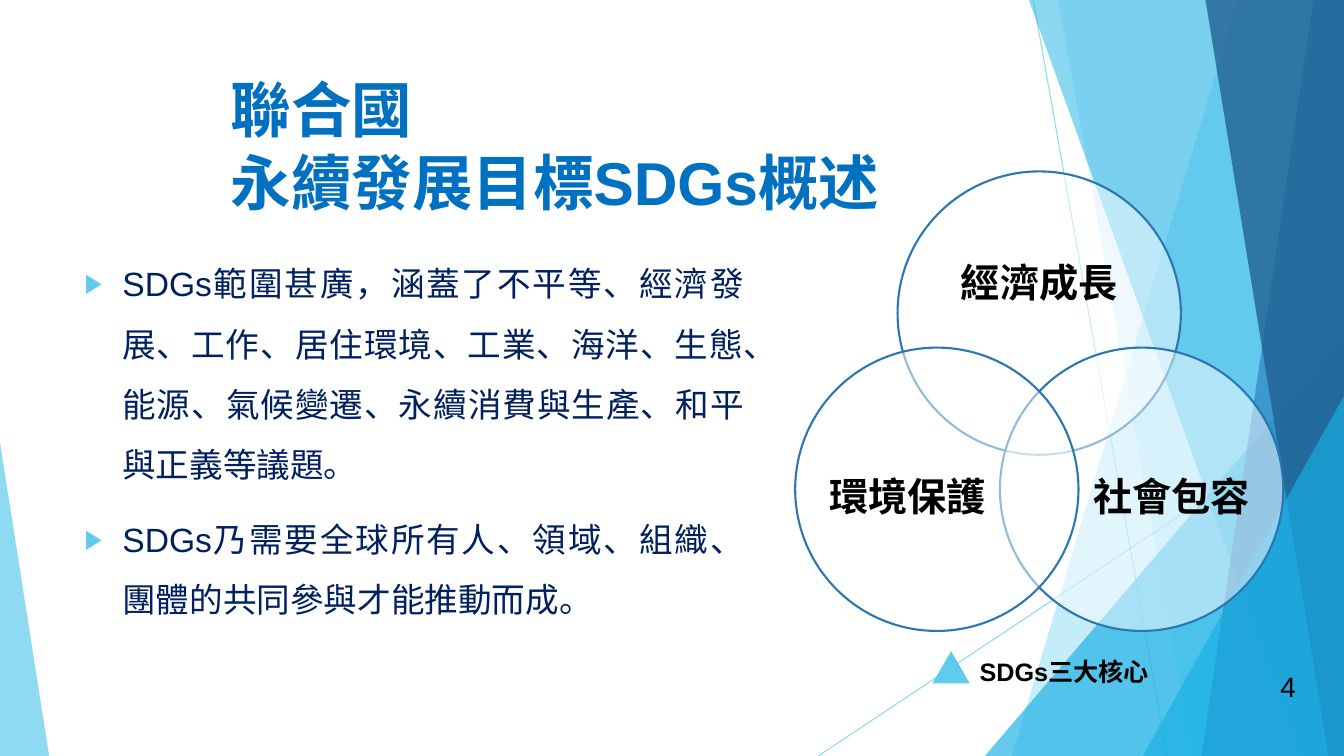
from dataclasses import dataclass

from lxml.etree import SubElement
from pptx import Presentation
from pptx.dml.color import RGBColor as RGB
from pptx.enum.shapes import MSO_CONNECTOR as Link, MSO_SHAPE as Kind
from pptx.enum.text import MSO_ANCHOR as Anchor, MSO_AUTO_SIZE as Fit, PP_ALIGN as Align
from pptx.oxml.ns import qn
from pptx.util import Cm, Pt


@dataclass(frozen=True)
class Theme:
    font: str = "Arial"
    sky: str = "5FCBEF"
    aqua: str = "17B0E4"
    blue: str = "2E83C3"
    deep: str = "226292"
    ring: str = "2A77B1"
    title: str = "0070C0"
    body: str = "002060"
    ink: str = "000000"
    white: str = "FFFFFF"
    head: float = 43.2
    label: float = 28
    text: float = 24
    page: float = 20
    note: float = 18


THEME = Theme()
WIDE, HIGH = 33.87, 19.05


def fade(shape, percent):
    """Set the opacity of the first colour in a shape."""
    color = next(shape.element.spPr.iter(qn("a:srgbClr")))
    SubElement(color, qn("a:alpha"), val=str(percent * 1000))


def paint(shape, color, percent=100):
    shape.shadow.inherit = False
    shape.fill.solid()
    shape.fill.fore_color.rgb = RGB.from_string(color)
    if percent < 100:
        fade(shape, percent)
    shape.line.fill.background()


def style(para, size, color, bold=False, align=Align.LEFT):
    para.alignment = align
    font = para.font
    font.name, font.size, font.bold = THEME.font, Pt(size), bold
    font.color.rgb = RGB.from_string(color)


def place(shape, box):
    shape.left, shape.top, shape.width, shape.height = map(Cm, box)


def write(slide, box, text, size, bold=False, align=Align.LEFT, anchor=Anchor.TOP, inset=None):
    frame = slide.shapes.add_textbox(*map(Cm, box)).text_frame
    frame.word_wrap = True
    frame.vertical_anchor = anchor
    if inset is not None:
        frame.margin_left = frame.margin_right = Cm(inset)
        frame.margin_top = frame.margin_bottom = Cm(inset)
    para = frame.paragraphs[0]
    para.text = text
    style(para, size, THEME.ink, bold, align)
    return para


def ray(slide, start, end):
    line = slide.shapes.add_connector(Link.STRAIGHT, *map(Cm, start + end))
    line.line.color.rgb = RGB.from_string(THEME.sky)
    line.line.width = Pt(0.75)
    fade(line, 70)
    SubElement(line.element.spPr, qn("a:effectLst"))


def band(slide, top, base, color, percent):
    """Fill from a slanted edge to the right side of the slide."""
    pen = slide.shapes.build_freeform(Cm(top), 0, scale=1.0)
    corners = [(WIDE, 0), (WIDE, HIGH), (base, HIGH)]
    pen.add_line_segments([(Cm(x), Cm(y)) for x, y in corners])
    paint(pen.convert_to_shape(), color, percent)


def wedge(slide, box, peak, color, percent=100):
    shape = slide.shapes.add_shape(Kind.ISOSCELES_TRIANGLE, *map(Cm, box))
    shape.adjustments[0] = peak
    paint(shape, color, percent)


def decor(slide):
    ray(slide, (26.04, 0), (29.41, HIGH))
    ray(slide, (WIDE, 10.24), (20.62, HIGH))
    band(slide, 31.19, 25.5, THEME.sky, 36)
    band(slide, 26.67, 30.05, THEME.sky, 20)
    wedge(slide, (24.82, 8.46, WIDE - 24.82, HIGH - 8.46), 1, THEME.aqua, 66)
    band(slide, 25.93, 32.79, THEME.aqua, 50)
    band(slide, 33.1, 30.28, THEME.blue, 70)
    band(slide, 30.38, 33.48, THEME.deep, 80)
    wedge(slide, (28.8, 9.98, WIDE - 28.8, HIGH - 9.98), 1, THEME.aqua, 66)
    wedge(slide, (0, 11.15, 1.24, HIGH - 11.15), 0, THEME.sky, 70)


def holder(slide, index, box):
    """Bring a placeholder in front of the decor and return its text frame."""
    shape = slide.placeholders[index]
    slide.shapes.element.append(shape.element)
    place(shape, box)
    frame = shape.text_frame
    frame.word_wrap = True
    frame.auto_size = Fit.NONE
    frame.vertical_anchor = Anchor.TOP
    return frame


def title(slide, box, text):
    para = holder(slide, 0, box).paragraphs[0]
    para.text = text
    style(para, THEME.head, THEME.title, bold=True)


def bullet(para):
    props = para._p.get_or_add_pPr()
    props.set("marL", str(Cm(0.95)))
    props.set("indent", str(-Cm(0.95)))
    color = SubElement(props, qn("a:buClr"))
    SubElement(color, qn("a:srgbClr"), val=THEME.sky)
    SubElement(props, qn("a:buSzPct"), val="80000")
    SubElement(props, qn("a:buFont"), typeface=THEME.font)
    SubElement(props, qn("a:buChar"), char="▶")


def points(slide, box, items):
    frame = holder(slide, 1, box)
    frame.text = "\n".join(items)
    for para in frame.paragraphs:
        bullet(para)
        para.line_spacing = 1.5
        para.space_before = Pt(10)
        style(para, THEME.text, THEME.body, align=Align.JUSTIFY)


def venn(slide, box, names):
    """Draw three overlapping circles, one on top and two below."""
    left, top, width, height = box
    size = 7.14
    gap, drop = width - size, height - size
    # circle offset, label shift from the circle centre, label size
    parts = [
        ((gap / 2, 0), (0, -0.71), (5.23, 3.23)),
        ((gap, drop), (0.76, 0.25), (4.29, 3.94)),
        ((0, drop), (-0.74, 0.25), (4.29, 3.94)),
    ]
    for name, ((dx, dy), (sx, sy), (wide, high)) in zip(names, parts):
        x, y = left + dx, top + dy
        ring = slide.shapes.add_shape(Kind.OVAL, *map(Cm, (x, y, size, size)))
        paint(ring, THEME.white, 50)
        ring.line.color.rgb = RGB.from_string(THEME.ring)
        ring.line.width = Pt(1.5)
        spot = (x + (size - wide) / 2 + sx, y + (size - high) / 2 + sy, wide, high)
        para = write(slide, spot, name, THEME.label, True, Align.CENTER, Anchor.MIDDLE, 0)
        para.line_spacing = 0.9


def caption(slide, box, text):
    left, top, width, height = box
    mark = 0.94
    wedge(slide, (left, top, mark, 0.81), 0.5, THEME.sky)
    write(slide, (left + mark, top, width - mark, height), text, THEME.note, bold=True)


def main():
    deck = Presentation()
    deck.slide_width, deck.slide_height = Cm(WIDE), Cm(HIGH)
    slide = deck.slides.add_slide(deck.slide_layouts[1])
    decor(slide)
    title(slide, (5.56, 1.7, 23.88, 3.66), "聯合國\v永續發展目標SDGs概述")
    points(slide, (1.88, 5.99, 17.12, 10.77), [
        "SDGs範圍甚廣，涵蓋了不平等、經濟發展、工作、居住環境、工業、海洋、生態、"
        "能源、氣候變遷、永續消費與生產、和平與正義等議題。",
        "SDGs乃需要全球所有人、領域、組織、團體的共同參與才能推動而成。",
    ])
    write(slide, (31.01, 16.79, 1.9, 1.02), "4", THEME.page,
          align=Align.RIGHT, anchor=Anchor.MIDDLE)
    venn(slide, (20.04, 4.32, 12.3, 11.58), ["經濟成長", "社會包容", "環境保護"])
    caption(slide, (23.5, 16.41, 6.73, 1.02), "SDGs三大核心")
    deck.save("out.pptx")


if __name__ == "__main__":
    main()
